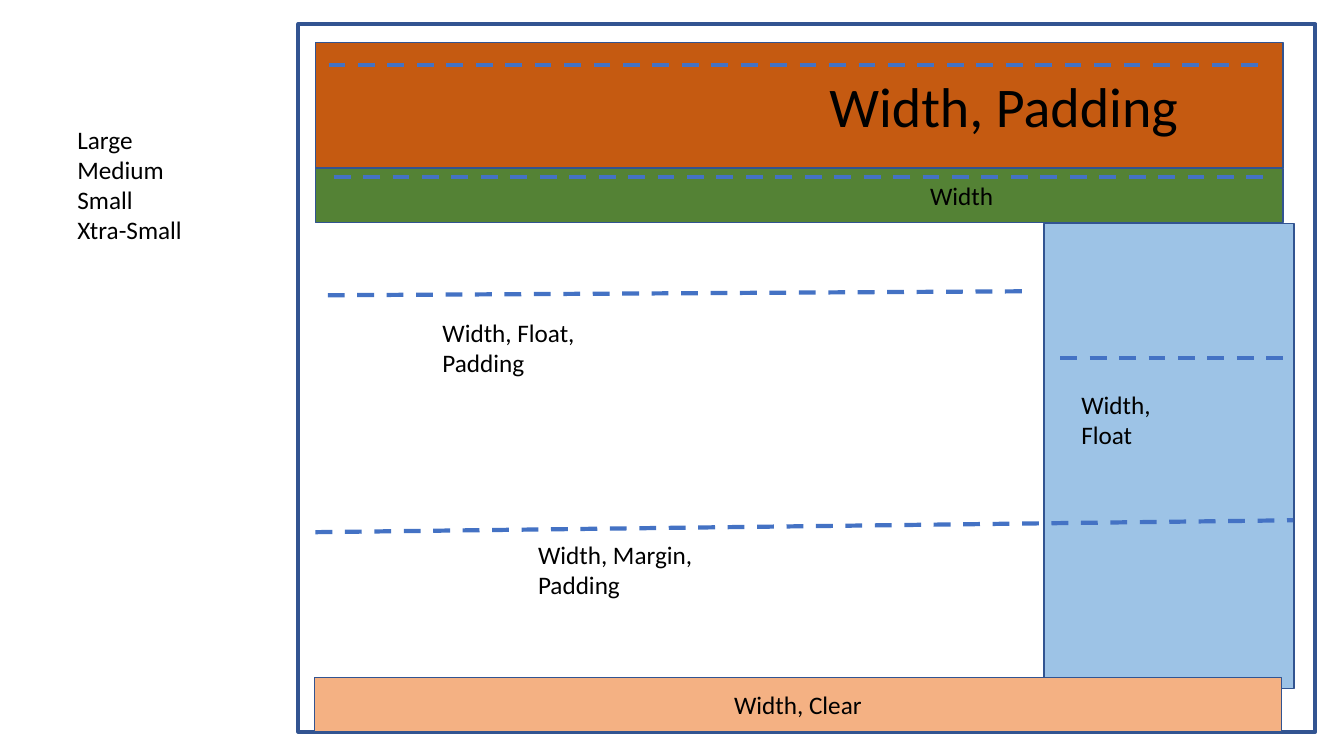
from lxml.etree import SubElement
from pptx import Presentation
from pptx.dml.color import RGBColor
from pptx.enum.dml import MSO_LINE
from pptx.enum.shapes import MSO_CONNECTOR, MSO_SHAPE
from pptx.enum.text import MSO_ANCHOR, PP_ALIGN
from pptx.oxml.ns import qn
from pptx.util import Cm, Pt

FONT = "Calibri"
BLACK = RGBColor(0x00, 0x00, 0x00)
NAVY = RGBColor(0x32, 0x54, 0x91)
BLUE = RGBColor(0x44, 0x72, 0xC4)
RUST = RGBColor(0xC5, 0x5A, 0x11)
GREEN = RGBColor(0x54, 0x82, 0x35)
SKY = RGBColor(0x9D, 0xC3, 0xE6)
PEACH = RGBColor(0xF4, 0xB1, 0x83)

PAGE_LEFT, PAGE_WIDTH = 7.95, 24.38


def write(tf, text, size=18, align=PP_ALIGN.LEFT):
    """Put text in a frame and format every run."""
    tf.word_wrap = True
    tf.text = text
    for p in tf.paragraphs:
        p.alignment = align
        for r in p.runs:
            r.font.name = FONT
            r.font.size = Pt(size)
            r.font.color.rgb = BLACK


def add_block(shapes, x, y, w, h, fill=None, weight=1):
    """Add an outlined rectangle, hollow when no fill is given."""
    sp = shapes.add_shape(MSO_SHAPE.RECTANGLE, Cm(x), Cm(y), Cm(w), Cm(h))
    sp.shadow.inherit = False
    if fill is None:
        sp.fill.background()
    else:
        sp.fill.solid()
        sp.fill.fore_color.rgb = fill
    sp.line.color.rgb = NAVY
    sp.line.width = Pt(weight)
    sp.text_frame.vertical_anchor = MSO_ANCHOR.MIDDLE
    return sp


def add_label(shapes, x, y, w, h, text):
    """Add a plain text box."""
    sp = shapes.add_textbox(Cm(x), Cm(y), Cm(w), Cm(h))
    write(sp.text_frame, text)


def add_dashes(shapes, x1, y1, x2, y2):
    """Add a dashed width line."""
    cn = shapes.add_connector(
        MSO_CONNECTOR.STRAIGHT, Cm(x1), Cm(y1), Cm(x2), Cm(y2))
    cn.line.color.rgb = BLUE
    cn.line.width = Pt(3)
    cn.line.dash_style = MSO_LINE.DASH
    SubElement(cn._element.spPr, qn("a:effectLst"))


def main():
    """Build the page layout sketch."""
    prs = Presentation()
    prs.slide_width, prs.slide_height = Cm(33.87), Cm(19.05)
    s = prs.slides.add_slide(prs.slide_layouts[6])
    page = s.shapes.add_group_shape().shapes

    add_block(page, 7.52, 0.61, 25.63, 17.83, weight=3)

    header = add_block(page, PAGE_LEFT, 1.07, PAGE_WIDTH, 3.17, RUST)
    header.text_frame.margin_left = Cm(12.95)
    write(header.text_frame, "Width, Padding", size=40)

    nav = add_block(page, PAGE_LEFT, 4.24, PAGE_WIDTH, 1.37, GREEN)
    nav.text_frame.margin_left = Cm(15.49)
    write(nav.text_frame, "Width")

    add_block(page, 26.31, 5.64, 6.3, 11.71, SKY)

    footer = add_block(page, 7.92, 17.07, PAGE_WIDTH, 1.37, PEACH)
    write(footer.text_frame, "Width, Clear", align=PP_ALIGN.CENTER)

    for x, y, w, text in [
        (10.9, 7.87, 4.83, "Width, Float, Padding"),
        (27, 9.68, 2.95, "Width, Float"),
        (13.31, 13.46, 5.28, "Width, Margin, Padding"),
    ]:
        add_label(page, x, y, w, 1.02, text)

    for ends in [
        (8.28, 1.63, 31.93, 1.63),
        (8.41, 4.47, 32.05, 4.47),
        (8.26, 7.44, 25.83, 7.34),
        (26.72, 9.02, 32.59, 9.02),
        (PAGE_LEFT, 13.41, 32.59, 13.11),
    ]:
        add_dashes(page, *ends)

    add_label(s.shapes, 1.7, 3, 3.2, 3.33, "Large\nMedium\nSmall\nXtra-Small")
    prs.save("out.pptx")


main()
